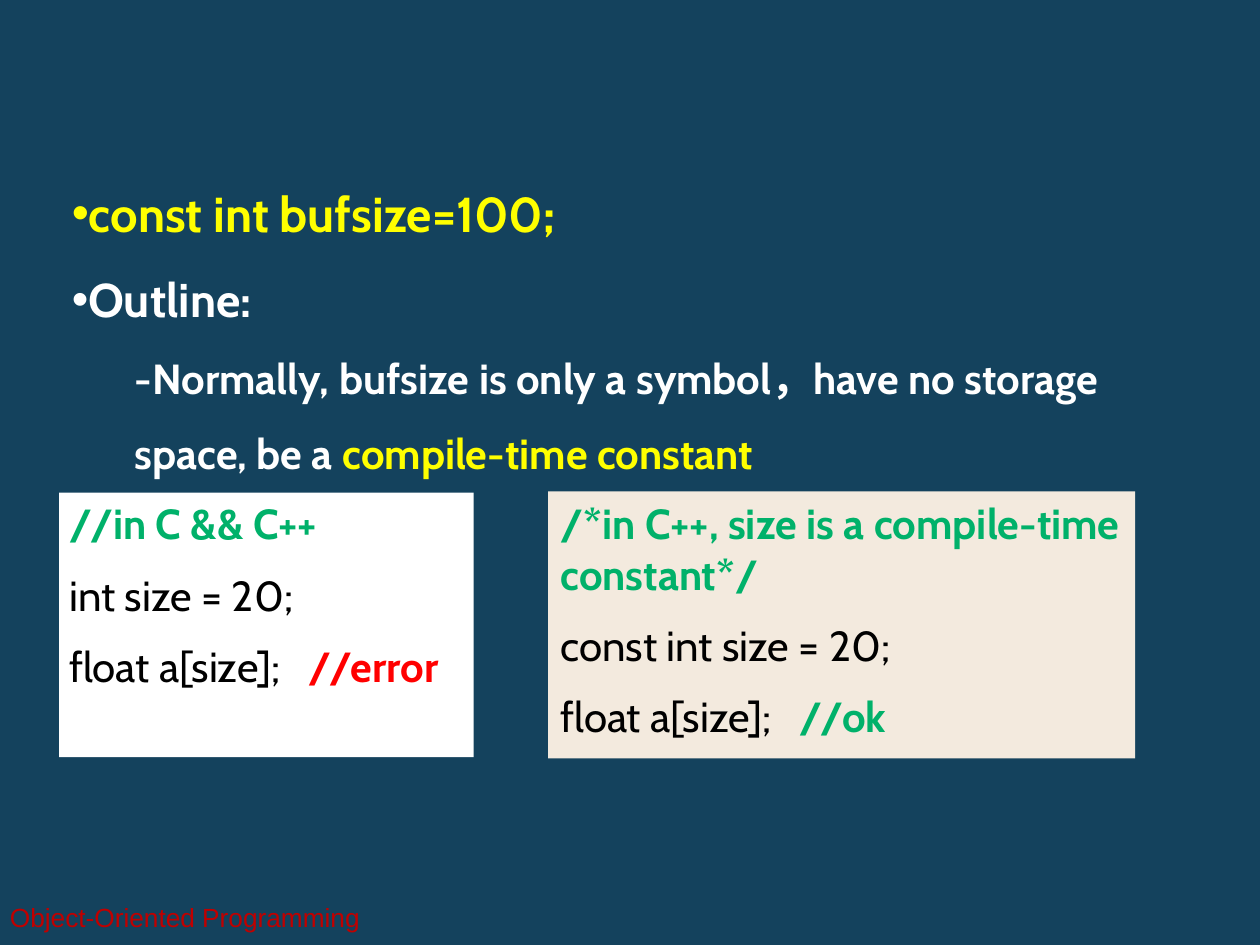
from lxml import etree
from pptx import Presentation
from pptx.dml.color import RGBColor
from pptx.enum.shapes import MSO_SHAPE
from pptx.enum.text import MSO_ANCHOR, MSO_AUTO_SIZE, PP_ALIGN
from pptx.oxml.ns import qn
from pptx.util import Inches, Pt

RECTANGLE = MSO_SHAPE.RECTANGLE
TOP, MIDDLE = MSO_ANCHOR.TOP, MSO_ANCHOR.MIDDLE
LEFT = PP_ALIGN.LEFT
NO_AUTOFIT = MSO_AUTO_SIZE.NONE

THEME = {
    "font": "Cabin", "footer_font": "Arial",
    "background": "14425D", "text": "FFFFFF", "highlight": "FFFF00",
    "code": "000000", "good": "00B16A", "error": "FF0000", "footer": "C00000",
    "lead_size": 28, "outline_size": 27, "code_size": 24, "footer_size": 15,
}

OUTLINE = [
    {"level": 0, "bullet": "•", "size": "lead_size",
     "runs": [("const int bufsize=100;", "highlight")]},
    {"level": 0, "bullet": "•", "size": "outline_size",
     "runs": [("Outline:", "text")]},
    {"level": 1, "bullet": None, "size": "code_size",
     "runs": [("-Normally, bufsize is only a symbol，have no storage space, be a ", "text"),
              ("compile-time constant", "highlight")]},
]
OUTLINE_BOX = (0.47, 1.17, 8.72, 2.7)

CODE_PANELS = [
    {"box": (0.47, 3.91, 3.29, 2.1), "fill": "FFFFFF", "margins": (0.08, 0.04),
     "lines": [[("//in C && C++", "good")],
               [("int size = 20;", "code")],
               [("float a[size];\t", "code"), ("//error", "error")]]},
    {"box": (4.35, 3.9, 4.66, 2.12), "fill": "F3EADE", "margins": (0.1, 0.05),
     "lines": [[("/*in C++, size is a compile-time constant*/", "good")],
               [("const int size = 20;", "code")],
               [("float a[size];\t", "code"), ("//ok", "good")]]},
]
COMMENT_TAB = 1.9
CODE_GAP = 12

FOOTER = "Object-Oriented Programming"
FOOTER_BOX = (-0.02, 7.08, 4.01, 0.4)


def color(value):
    return RGBColor.from_string(value)


def inches(box):
    return [Inches(length) for length in box]


def prepare_frame(shape, margins=(0.1, 0.05), anchor=TOP):
    text_frame = shape.text_frame
    text_frame.word_wrap = True
    text_frame.auto_size = NO_AUTOFIT
    text_frame.vertical_anchor = anchor
    text_frame.margin_left = text_frame.margin_right = Inches(margins[0])
    text_frame.margin_top = text_frame.margin_bottom = Inches(margins[1])
    return text_frame


def write_runs(paragraph, runs, size, font="font", plain=("code", "footer")):
    paragraph.alignment = LEFT
    for text, role in runs:
        run = paragraph.add_run()
        run.text = text
        run.font.name = THEME[font]
        run.font.size = Pt(THEME[size])
        run.font.bold = role not in plain
        run.font.color.rgb = color(THEME[role])


def set_bullet(paragraph, character, indent):
    properties = paragraph._p.get_or_add_pPr()
    properties.set("marL", str(Inches(indent)))
    properties.set("indent", "0")
    if character:
        etree.SubElement(properties, qn("a:buChar")).set("char", character)
    else:
        etree.SubElement(properties, qn("a:buNone"))


def set_tab(paragraph, position):
    tabs = etree.SubElement(paragraph._p.get_or_add_pPr(), qn("a:tabLst"))
    tab = etree.SubElement(tabs, qn("a:tab"))
    tab.set("pos", str(Inches(position)))
    tab.set("algn", "l")


def paragraphs_for(text_frame, items):
    for index, item in enumerate(items):
        yield index, item, text_frame.add_paragraph() if index else text_frame.paragraphs[0]


def add_outline(slide):
    body = slide.placeholders[1]
    body.left, body.top, body.width, body.height = inches(OUTLINE_BOX)
    text_frame = prepare_frame(body)
    for _, item, paragraph in paragraphs_for(text_frame, OUTLINE):
        paragraph.level = item["level"]
        set_bullet(paragraph, item["bullet"], 0.5 * item["level"])
        paragraph.line_spacing = 1.5
        paragraph.space_before = Pt(0)
        write_runs(paragraph, item["runs"], item["size"])


def add_code_panel(slide, panel):
    shape = slide.shapes.add_shape(RECTANGLE, *inches(panel["box"]))
    shape.shadow.inherit = False
    shape.fill.solid()
    shape.fill.fore_color.rgb = color(panel["fill"])
    shape.line.fill.background()
    text_frame = prepare_frame(shape, panel["margins"])
    for index, runs, paragraph in paragraphs_for(text_frame, panel["lines"]):
        set_tab(paragraph, COMMENT_TAB)
        paragraph.space_before = Pt(CODE_GAP if index else 0)
        write_runs(paragraph, runs, "code_size")


def add_footer(slide):
    text_box = slide.shapes.add_textbox(*inches(FOOTER_BOX))
    text_frame = prepare_frame(text_box, anchor=MIDDLE)
    write_runs(text_frame.paragraphs[0], [(FOOTER, "footer")], "footer_size", "footer_font")


def main():
    presentation = Presentation()
    presentation.slide_width, presentation.slide_height = Inches(10), Inches(7.5)
    slide = presentation.slides.add_slide(presentation.slide_layouts[1])
    slide.background.fill.solid()
    slide.background.fill.fore_color.rgb = color(THEME["background"])
    title = slide.shapes.title.element
    title.getparent().remove(title)

    add_footer(slide)
    add_outline(slide)
    for panel in CODE_PANELS:
        add_code_panel(slide, panel)
    presentation.save("out.pptx")


if __name__ == "__main__":
    main()
